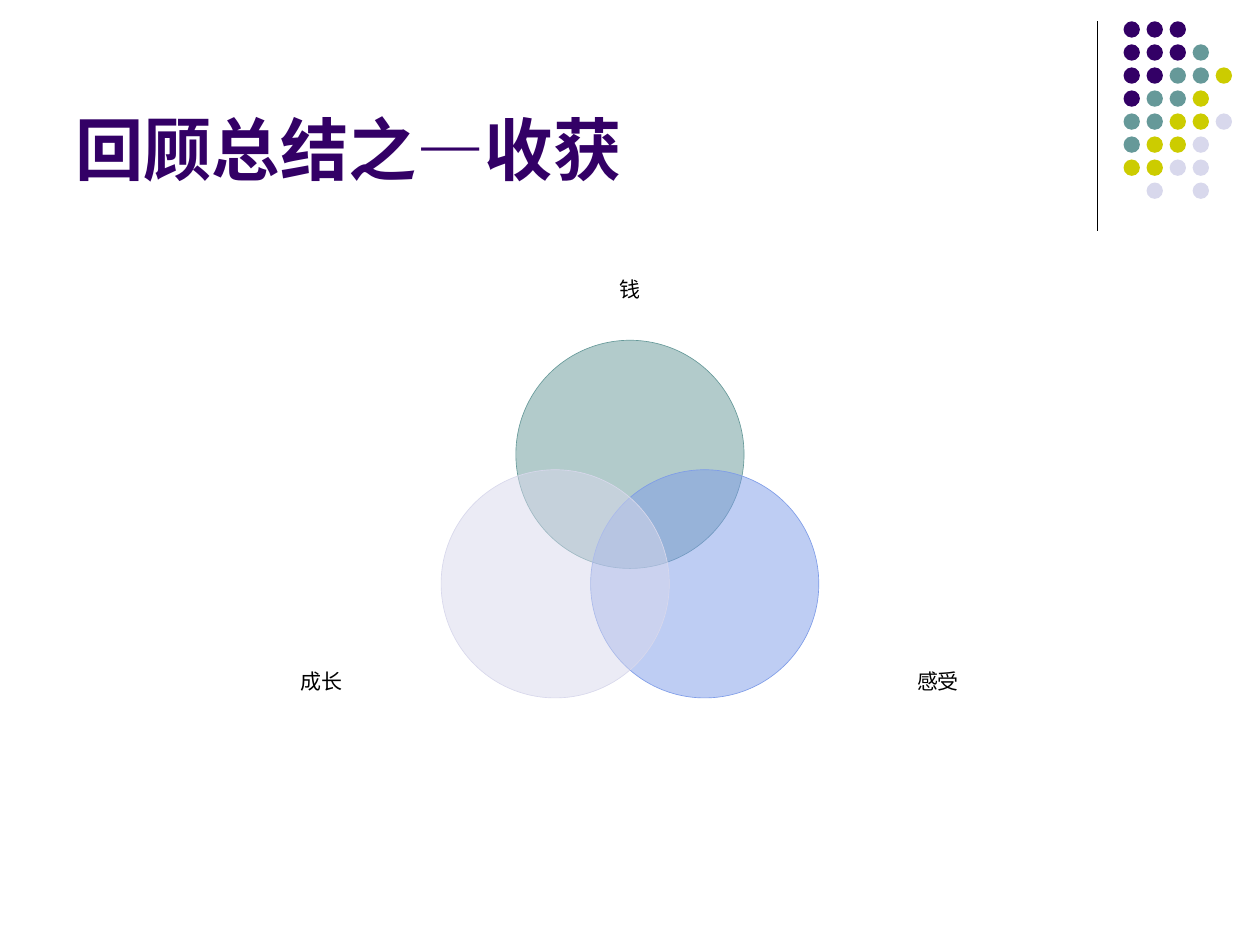
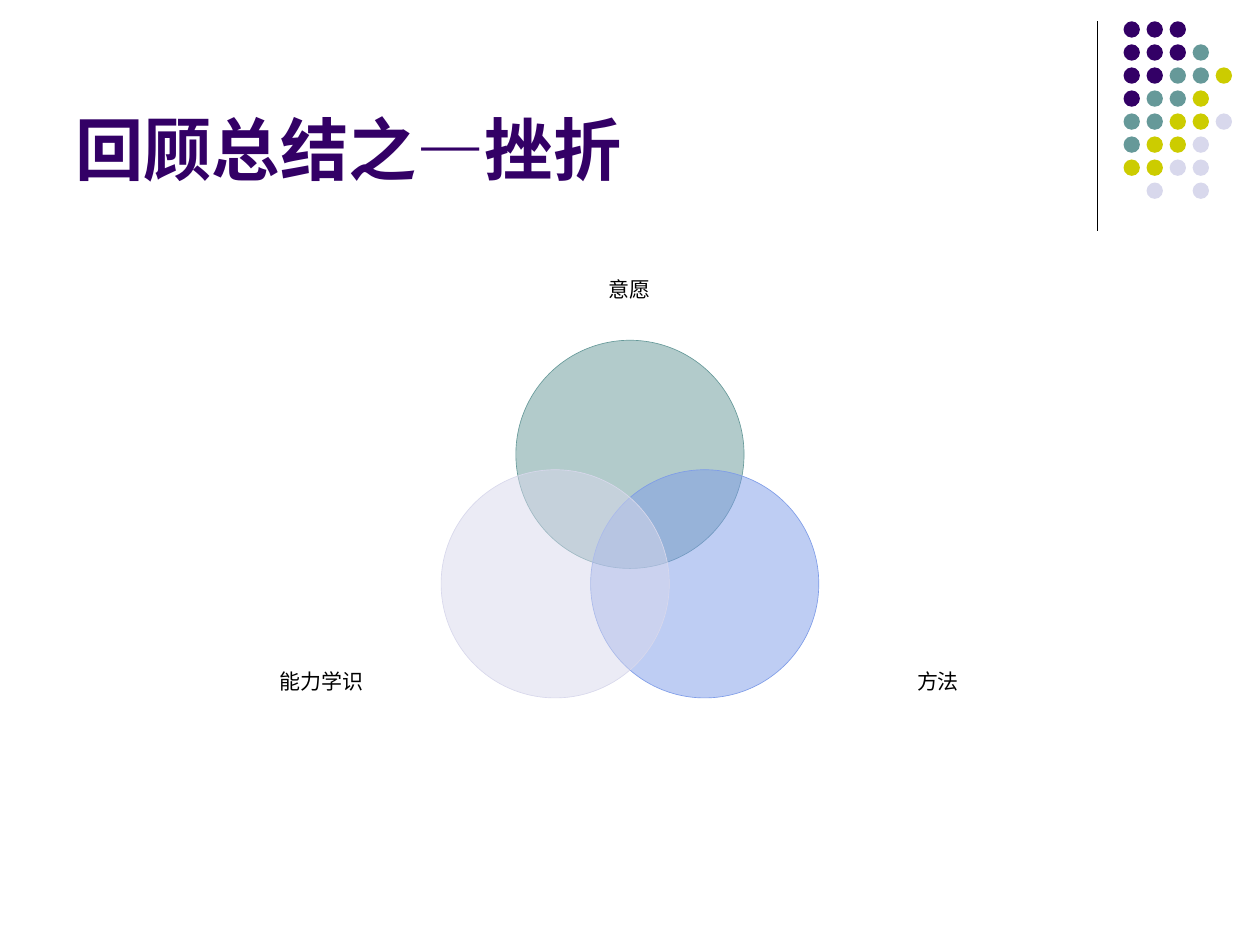
from math import cos, radians, sin

from lxml.etree import SubElement
from pptx import Presentation
from pptx.dml.color import RGBColor
from pptx.enum.shapes import MSO_CONNECTOR, MSO_SHAPE
from pptx.enum.text import MSO_ANCHOR, PP_ALIGN
from pptx.oxml.ns import qn
from pptx.util import Cm, Pt

BLACK = RGBColor(0x00, 0x00, 0x00)
PURPLE = RGBColor(0x33, 0x00, 0x66)
TEAL = RGBColor(0x66, 0x99, 0x99)
LIME = RGBColor(0xCC, 0xCC, 0x00)
LAVENDER = RGBColor(0xD8, 0xD8, 0xEC)
BLUE = RGBColor(0x7E, 0x9C, 0xE8)

# Corner ornament: one letter per dot, a point where there is none
DOT_COLORS = {"P": PURPLE, "T": TEAL, "L": LIME, "V": LAVENDER}
DOT_ROWS = ["PPP", "PPPT", "PPTTL", "PTTL", "TTLLV", "TLLV", "LLVV", ".V.V"]
DOT_LEFT, DOT_TOP, DOT_SIZE = 22.65, 0.43, 0.33
DOT_PITCH = 3.25 / 7

# Venn diagram: angle and colour of each circle, label offset from the centre
VENN_X, VENN_Y, VENN_RADIUS, CIRCLE_SIZE = 12.7, 10.9, 1.74, 4.6
VENN_PARTS = [
    (-90, TEAL, (0, -5.07)),
    (30, BLUE, (6.21, 2.83)),
    (150, LAVENDER, (-6.21, 2.83)),
]
LABEL_WIDTH, LABEL_HEIGHT = 4.6, 1.14

SLIDES = [
    ("回顾总结之—收获", ["钱", "感受", "成长"]),
    ("回顾总结之—挫折", ["意愿", "方法", "能力学识"]),
]


def write_text(tf, text, size=12, color=BLACK, bold=False,
               align=PP_ALIGN.LEFT, font="Arial"):
    p = tf.paragraphs[0]
    p.alignment = align
    r = p.add_run()
    r.text = text
    r.font.name = font
    r.font.size = Pt(size)
    r.font.bold = bold
    r.font.color.rgb = color


class Deck:
    def __init__(self):
        self.prs = Presentation()
        self.prs.slide_width, self.prs.slide_height = Cm(25.4), Cm(19.05)
        self.s = None

    def new_slide(self, title):
        self.s = self.prs.slides.add_slide(self.prs.slide_layouts[6])
        self.ornament()
        self.title(title)

    def ornament(self):
        # Vertical rule
        rule = self.s.shapes.add_connector(
            MSO_CONNECTOR.STRAIGHT, Cm(22.12), Cm(0.43), Cm(22.12), Cm(4.65))
        rule.line.color.rgb = BLACK
        rule.line.width = Pt(0.75)
        SubElement(rule._element.spPr, qn("a:effectLst"))
        # Dots
        dots = self.s.shapes.add_group_shape().shapes
        for row, letters in enumerate(DOT_ROWS):
            for col, letter in enumerate(letters):
                if letter in DOT_COLORS:
                    self.circle(dots, DOT_LEFT + col * DOT_PITCH,
                                DOT_TOP + row * DOT_PITCH, DOT_SIZE,
                                DOT_COLORS[letter])

    def title(self, text):
        tf = self.text_box(1.27, 0.33, 20.96, 3.61, MSO_ANCHOR.BOTTOM)
        tf.word_wrap = True
        write_text(tf, text, size=39, color=PURPLE, bold=True)

    def text_box(self, left, top, width, height, anchor):
        sp = self.s.shapes.add_textbox(Cm(left), Cm(top), Cm(width), Cm(height))
        tf = sp.text_frame
        tf.vertical_anchor = anchor
        return tf

    def circle(self, shapes, left, top, size, color, outlined=False, opacity=100):
        sp = shapes.add_shape(MSO_SHAPE.OVAL, Cm(left), Cm(top), Cm(size), Cm(size))
        sp.shadow.inherit = False
        sp.fill.solid()
        sp.fill.fore_color.rgb = color
        if opacity < 100:
            clr = sp._element.spPr.find(qn("a:solidFill")).find(qn("a:srgbClr"))
            SubElement(clr, qn("a:alpha"), val=str(opacity * 1000))
        if outlined:
            sp.line.color.rgb = color
            sp.line.width = Pt(0.37)
        else:
            sp.line.fill.background()

    def label(self, text, x, y):
        tf = self.text_box(x - LABEL_WIDTH / 2, y - LABEL_HEIGHT / 2,
                           LABEL_WIDTH, LABEL_HEIGHT, MSO_ANCHOR.MIDDLE)
        tf.margin_left = tf.margin_right = tf.margin_top = tf.margin_bottom = 0
        tf.word_wrap = True
        write_text(tf, text, align=PP_ALIGN.CENTER)

    def venn(self, labels):
        for text, (angle, color, (dx, dy)) in zip(labels, VENN_PARTS):
            x = VENN_X + VENN_RADIUS * cos(radians(angle))
            y = VENN_Y + VENN_RADIUS * sin(radians(angle))
            self.circle(self.s.shapes, x - CIRCLE_SIZE / 2, y - CIRCLE_SIZE / 2,
                        CIRCLE_SIZE, color, outlined=True, opacity=50)
            self.label(text, VENN_X + dx, VENN_Y + dy)


def main():
    deck = Deck()
    for title, labels in SLIDES:
        deck.new_slide(title)
        deck.venn(labels)
    deck.prs.save("out.pptx")


if __name__ == "__main__":
    main()
